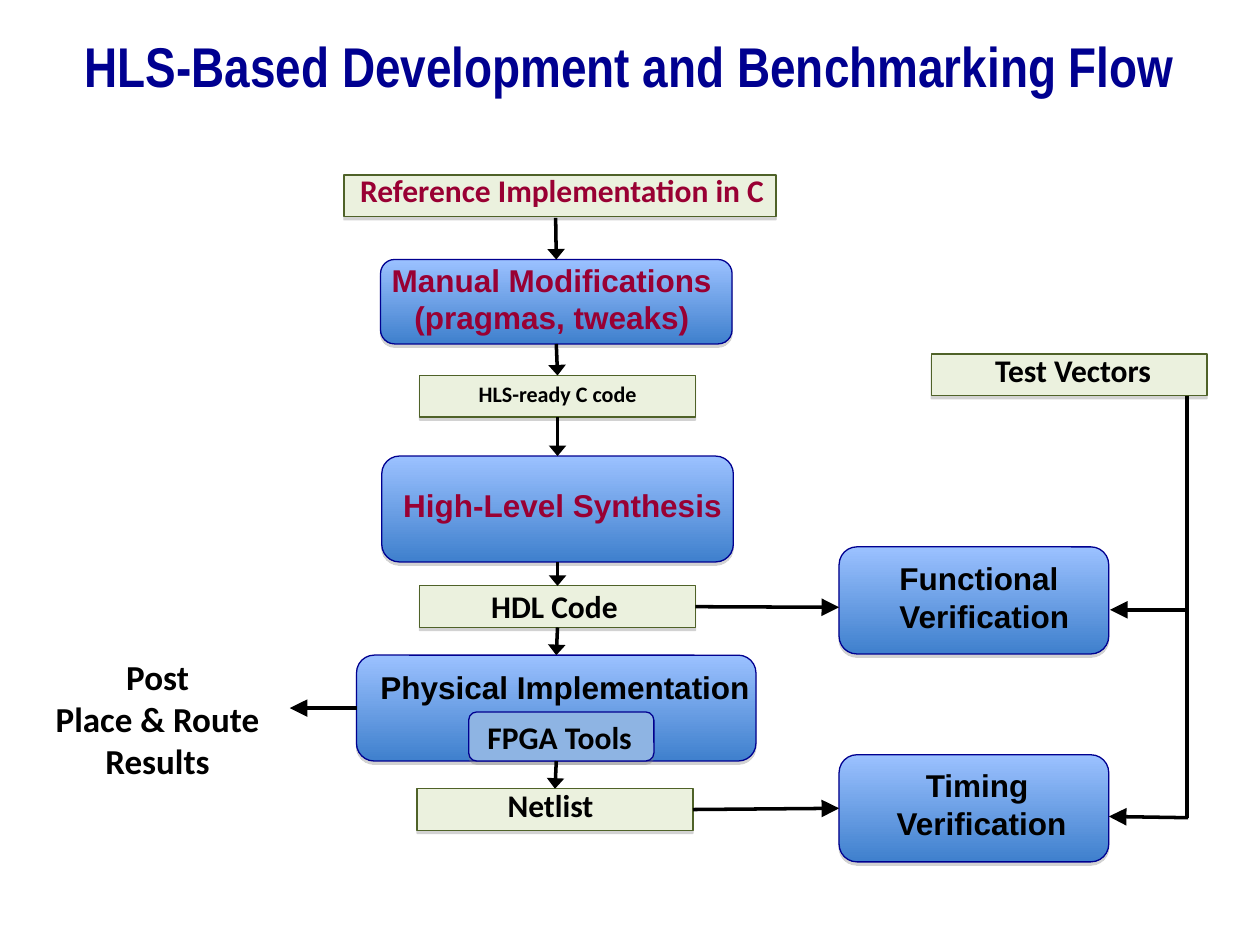
from lxml.etree import SubElement
from pptx import Presentation
from pptx.dml.color import RGBColor
from pptx.enum.shapes import MSO_CONNECTOR, MSO_SHAPE
from pptx.enum.text import MSO_ANCHOR, MSO_AUTO_SIZE, PP_ALIGN
from pptx.oxml.ns import qn
from pptx.util import Inches, Pt

NAVY = RGBColor(0x00, 0x00, 0x90)
BLACK = RGBColor(0x00, 0x00, 0x00)
CRIMSON = RGBColor(0x99, 0x00, 0x33)
SKY = RGBColor(0x9B, 0xC1, 0xFF)
BLUE = RGBColor(0x3F, 0x80, 0xCD)
PALE_BLUE = RGBColor(0x8E, 0xB4, 0xE3)
PALE_GREEN = RGBColor(0xEB, 0xF1, 0xDE)
DARK_GREEN = RGBColor(0x4F, 0x62, 0x28)

TOP, LEFT, BOTTOM, RIGHT = range(4)


def write_text(frame, lines, font, size, color, align):
    """Fill a text frame with one bold run in each paragraph."""
    for index, line in enumerate(lines):
        paragraph = frame.paragraphs[0] if index == 0 else frame.add_paragraph()
        paragraph.alignment = align
        run = paragraph.add_run()
        run.text = line
        run.font.name = font
        run.font.size = Pt(size)
        run.font.bold = True
        run.font.color.rgb = color


def set_title(slide, text):
    """Place and format the title placeholder."""
    title = slide.shapes.title
    title.left, title.top = Inches(0), Inches(0.04)
    title.width, title.height = Inches(10), Inches(0.96)
    frame = title.text_frame
    frame.auto_size = MSO_AUTO_SIZE.NONE
    frame.vertical_anchor = MSO_ANCHOR.MIDDLE
    write_text(frame, [text], "Arial Narrow", 32, NAVY, PP_ALIGN.CENTER)


def add_shadow(shape):
    """Give a shape a soft grey shadow just below it."""
    shape.shadow.inherit = False
    effects = shape._element.spPr.find(qn("a:effectLst"))
    shadow = SubElement(effects, qn("a:outerShdw"), blurRad="0", dist=str(Pt(1.8)),
                        dir="5400000", rotWithShape="0")
    color = SubElement(shadow, qn("a:srgbClr"), val="808080")
    SubElement(color, qn("a:alpha"), val="35000")


def add_box(slide, kind, box, line_color, fill_color=None):
    """Add an outlined box, with the blue gradient unless a fill is given."""
    shape = slide.shapes.add_shape(kind, *map(Inches, box))
    if fill_color is None:
        shape.fill.gradient()
        shape.fill.gradient_angle = 270
        for stop, color in zip(shape.fill.gradient_stops, (SKY, BLUE)):
            stop.color.rgb = color
    else:
        shape.fill.solid()
        shape.fill.fore_color.rgb = fill_color
    shape.line.color.rgb = line_color
    shape.line.width = Pt(0.75)
    add_shadow(shape)
    return shape


def add_process(slide, left, top, width, height, fill_color=None):
    """Add a rounded box for a step of the flow."""
    return add_box(slide, MSO_SHAPE.ROUNDED_RECTANGLE, (left, top, width, height),
                   NAVY, fill_color)


def add_artifact(slide, left, top, width=2.19):
    """Add a green box for a file that the flow reads or makes."""
    return add_box(slide, MSO_SHAPE.RECTANGLE, (left, top, width, 0.33),
                   DARK_GREEN, PALE_GREEN)


def add_label(slide, box, lines, font="Calibri", size=18, color=BLACK,
              align=PP_ALIGN.LEFT):
    """Add an unwrapped text box that fits its text."""
    frame = slide.shapes.add_textbox(*map(Inches, box)).text_frame
    frame.word_wrap = False
    frame.auto_size = MSO_AUTO_SIZE.SHAPE_TO_FIT_TEXT
    write_text(frame, lines, font, size, color, align)


def add_line(slide, start, end, source=None, target=None, head_length="lg"):
    """Add a black line, joined to any (shape, side) given for its ends."""
    connector = slide.shapes.add_connector(
        MSO_CONNECTOR.STRAIGHT, *map(Inches, start + end))
    if source:
        connector.begin_connect(*source)
    if target:
        connector.end_connect(*target)
    connector.line.color.rgb = BLACK
    connector.line.width = Pt(2)
    properties = connector._element.spPr
    if head_length:
        SubElement(properties.find(qn("a:ln")), qn("a:tailEnd"), type="triangle",
                   w="lg", len=head_length)
    SubElement(properties, qn("a:effectLst"))


def add_main_flow(slide):
    """Draw the central column and return the shapes that lead sideways."""
    add_artifact(slide, 2.73, 1.39, 3.43)
    changes = add_process(slide, 3.02, 2.06, 2.79, 0.67)
    ready_code = add_artifact(slide, 3.33, 2.98)
    synthesis = add_process(slide, 3.03, 3.62, 2.79, 0.84)
    hdl_code = add_artifact(slide, 3.33, 4.65)
    implementation = add_process(slide, 2.83, 5.2, 3.17, 0.84)
    add_process(slide, 3.72, 5.65, 1.47, 0.39, PALE_BLUE)
    netlist = add_artifact(slide, 3.31, 6.26)

    frame = ready_code.text_frame
    frame.word_wrap = True
    frame.vertical_anchor = MSO_ANCHOR.MIDDLE
    write_text(frame, ["HLS-ready C code"], "Calibri", 12.6, BLACK, PP_ALIGN.CENTER)
    frame.paragraphs[0].line_spacing = 0.8

    add_label(slide, (2.76, 1.31, 3.43, 0.4), ["Reference Implementation in C"],
              color=CRIMSON)
    add_label(slide, (3.01, 2.02, 2.74, 0.7),
              ["Manual Modifications", "(pragmas, tweaks)"],
              "Arial", color=CRIMSON, align=PP_ALIGN.CENTER)
    add_label(slide, (3.1, 3.81, 2.73, 0.4), ["High-Level Synthesis"],
              "Arial", color=CRIMSON, align=PP_ALIGN.CENTER)
    add_label(slide, (3.8, 4.61, 1.25, 0.4), ["HDL Code"])
    add_label(slide, (2.92, 5.25, 3.13, 0.4), ["Physical Implementation"],
              "Arial", align=PP_ALIGN.CENTER)
    add_label(slide, (3.77, 5.65, 1.37, 0.4), ["FPGA Tools"])
    add_label(slide, (3.93, 6.19, 0.88, 0.4), ["Netlist"])
    add_label(slide, (0.34, 5.15, 1.82, 1.1), ["Post", "Place & Route", "Results"],
              size=20, align=PP_ALIGN.CENTER)

    add_line(slide, (4.41, 1.73), (4.41, 2.06), target=(changes, TOP),
             head_length="med")
    steps = [changes, ready_code, synthesis, hdl_code, implementation, netlist]
    for upper, lower in zip(steps, steps[1:]):
        add_line(slide, (0, 0), (0, 0), (upper, BOTTOM), (lower, TOP), "med")
    add_line(slide, (2.83, 5.62), (2.3, 5.62), (implementation, LEFT))
    return hdl_code, netlist


def add_verification(slide, hdl_code, netlist):
    """Draw the two verification steps and the test vectors that feed them."""
    add_process(slide, 6.66, 4.34, 2.14, 0.85)
    timing = add_process(slide, 6.66, 5.99, 2.14, 0.85)
    add_artifact(slide, 7.39, 2.81)
    add_label(slide, (7.04, 4.39, 1.56, 0.7), ["Functional", "Verification"], "Arial")
    add_label(slide, (7.01, 6.03, 1.56, 0.7), ["Timing ", "Verification"], "Arial",
              align=PP_ALIGN.CENTER)
    add_label(slide, (7.8, 2.74, 1.48, 0.4), ["Test Vectors"])
    add_line(slide, (5.52, 4.81), (6.66, 4.82), (hdl_code, RIGHT))
    add_line(slide, (5.5, 6.43), (6.66, 6.43), (netlist, RIGHT), (timing, LEFT))
    add_line(slide, (9.42, 3.14), (9.42, 6.49), head_length=None)
    add_line(slide, (9.42, 4.84), (8.81, 4.84))
    add_line(slide, (9.43, 6.49), (8.8, 6.48))


def main():
    """Build the slide and save the presentation."""
    presentation = Presentation()
    presentation.slide_width = Inches(10)
    presentation.slide_height = Inches(7.5)
    slide = presentation.slides.add_slide(presentation.slide_layouts[5])
    set_title(slide, "HLS-Based Development and Benchmarking Flow")
    hdl_code, netlist = add_main_flow(slide)
    add_verification(slide, hdl_code, netlist)
    presentation.save("out.pptx")


if __name__ == "__main__":
    main()
